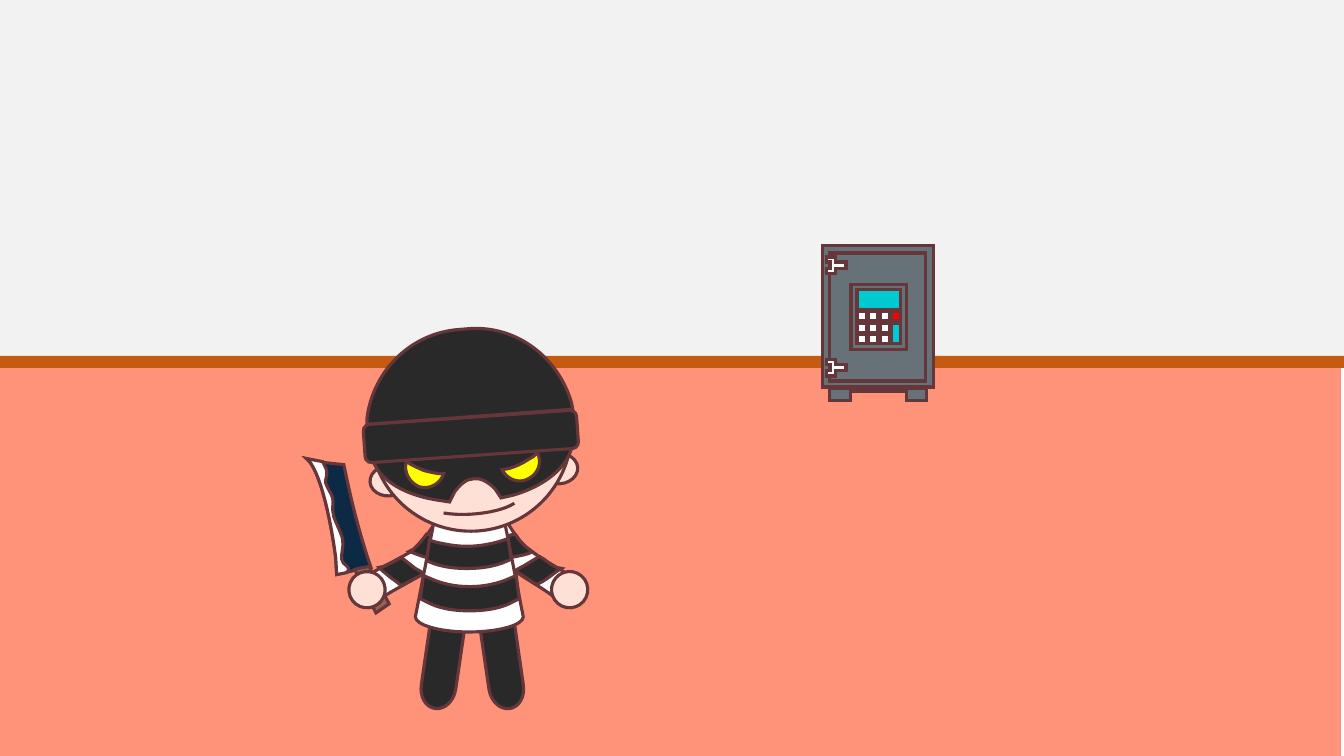
from math import cos, radians, sin

from lxml.etree import SubElement
from pptx import Presentation
from pptx.dml.color import RGBColor
from pptx.enum.shapes import MSO_SHAPE as Preset
from pptx.oxml.ns import qn
from pptx.util import Inches, Pt

COLORS = {
    "floor": "FF937A", "wall": "F2F2F2", "skirting": "C55A11", "outline": "65363A",
    "white": "FFFFFF", "skin": "FFE0D6", "black": "292929", "blade": "0C2A46",
    "handle": "926553", "eye": "FFFF00", "steel": "677278", "hinge": "FFFFFD",
    "red": "FF0000", "display": "00CAD1",
}
HEAD_TILT = 356


class Scene:
    """Holds the outline style, the slide and the group being drawn."""

    def __init__(self, slide):
        self.slide = slide
        self.target = slide.shapes
        self.line_width = Pt(2.25)

    def start_group(self):
        self.target = self.slide.shapes.add_group_shape().shapes

    def end_group(self):
        self.target = self.slide.shapes

    def style(self, shape, fill, rotation=0, outlined=True):
        shape.shadow.inherit = False
        shape.rotation = rotation
        if fill:
            shape.fill.solid()
            shape.fill.fore_color.rgb = RGBColor.from_string(COLORS[fill])
        else:
            shape.fill.background()
        if outlined:
            shape.line.color.rgb = RGBColor.from_string(COLORS["outline"])
            shape.line.width = self.line_width
            line = shape.element.spPr.find(qn("a:ln"))
            SubElement(line, qn("a:miter"), lim="800000")
        else:
            shape.line.fill.background()
        return shape

    def preset(self, kind, box, fill, rotation=0, outlined=True):
        shape = self.target.add_shape(kind, *map(Inches, box))
        return self.style(shape, fill, rotation, outlined)

    def rect(self, box, fill, outlined=True):
        return self.preset(Preset.RECTANGLE, box, fill, outlined=outlined)

    def ellipse(self, box, fill, rotation=0):
        return self.preset(Preset.OVAL, box, fill, rotation)

    def outline(self, steps, fill, rotation=0):
        """Steps are (x, y) corners or six-number Bezier curves, as seen on the slide."""
        # Undo the rotation about the centre of the unrotated box
        turn = complex(cos(radians(rotation)), sin(radians(rotation)))
        points = [complex(x, y) / turn
                  for step in steps for x, y in zip(step[::2], step[1::2])]
        xs, ys = [p.real for p in points], [p.imag for p in points]
        middle = complex(min(xs) + max(xs), min(ys) + max(ys)) / 2
        shift = middle * turn - middle
        corners = [(Inches((p + shift).real), Inches((p + shift).imag)) for p in points]
        builder = self.target.build_freeform(*corners[0])
        builder.add_line_segments(corners[1:], close=True)
        shape = builder.convert_to_shape()

        # Join three line segments into each curve
        segments = iter(list(shape.element.iter(qn("a:lnTo"))))
        for step in steps[1:]:
            segment = next(segments)
            if len(step) == 6:
                segment.tag = qn("a:cubicBezTo")
                for _ in range(2):
                    control = next(segments)
                    segment.append(control[0])
                    control.getparent().remove(control)
        return self.style(shape, fill, rotation)


def draw_room(scene):
    scene.rect((-0.03, 3.63, 13.33, 4.09), "floor", outlined=False)
    scene.rect((0, 0, 13.33, 3.63), "wall", outlined=False)
    scene.rect((0, 3.53, 13.33, 0.12), "skirting", outlined=False)


def draw_arms(scene):
    # Right arm: sleeve, hand, two stripes
    scene.start_group()
    scene.outline([
        (4.7, 5.18), (4.64, 5.13, 4.64, 5.05, 4.69, 5), (4.74, 4.94, 4.82, 4.94, 4.88, 4.99),
        (5.02, 5.12, 5.07, 5.29, 5.21, 5.42), (5.35, 5.55, 5.59, 5.65, 5.73, 5.77),
        (5.79, 5.82, 5.79, 5.91, 5.74, 5.96), (5.69, 6.01, 5.61, 6.02, 5.55, 5.97),
        (5.4, 5.83, 5.18, 5.74, 5.03, 5.6)], "white", 312.5)
    scene.ellipse((5.47, 5.67, 0.36, 0.36), "skin", 10.2)
    scene.outline([
        (5.11, 5.3), (5.12, 5.31), (5.14, 5.35, 5.17, 5.38, 5.21, 5.42), (5.29, 5.48),
        (5.27, 5.48), (5.23, 5.5, 5.17, 5.51, 5.12, 5.52), (4.99, 5.55), (4.84, 5.35),
        (4.94, 5.34), (4.99, 5.33, 5.05, 5.31, 5.1, 5.3)], "black", 355.4)
    scene.outline([
        (5.35, 5.52), (5.2, 5.61), (5.11, 5.66), (5.32, 5.8), (5.38, 5.77),
        (5.43, 5.74, 5.48, 5.7, 5.52, 5.67), (5.57, 5.64), (5.52, 5.63),
        (5.47, 5.6, 5.43, 5.58, 5.4, 5.55)], "black", 333.7)

    # Left arm: sleeve, two stripes, knife, hand
    scene.start_group()
    scene.outline([
        (4.62, 5.23), (4.68, 5.19, 4.69, 5.1, 4.64, 5.05), (4.59, 4.99, 4.51, 4.98, 4.46, 5.03),
        (4.31, 5.16, 4.25, 5.32, 4.11, 5.45), (3.95, 5.56, 3.71, 5.65, 3.56, 5.77),
        (3.5, 5.82, 3.5, 5.9, 3.54, 5.96), (3.59, 6.01, 3.67, 6.02, 3.73, 5.97),
        (3.89, 5.85, 4.11, 5.76, 4.27, 5.64)], "white", 50.5)
    scene.outline([
        (3.98, 5.53), (4.12, 5.64), (4.21, 5.69), (3.98, 5.81), (3.93, 5.77),
        (3.88, 5.74, 3.84, 5.7, 3.8, 5.67), (3.76, 5.63), (3.81, 5.62),
        (3.85, 5.6, 3.89, 5.58, 3.93, 5.56)], "black", 31.8)
    scene.outline([
        (4.23, 5.3), (4.4, 5.35), (4.5, 5.37), (4.33, 5.56), (4.27, 5.54),
        (4.22, 5.53, 4.16, 5.51, 4.11, 5.49), (4.06, 5.47), (4.1, 5.45),
        (4.14, 5.41, 4.17, 5.38, 4.2, 5.34)], "black", 10.1)
    cutting_edge = [(3.34, 5.7), (3.33, 5.53), (3.27, 5.08, 3.17, 4.7, 3.07, 4.58)]
    scene.outline([
        (3.04, 4.55), (3.22, 4.59), (3.41, 4.61), (3.43, 4.7),
        (3.5, 5.04, 3.59, 5.37, 3.68, 5.63), (3.56, 5.65)] + cutting_edge, "blade", 337.5)
    scene.outline([
        (3.04, 4.55), (3.2, 4.58), (3.22, 4.62), (3.27, 4.71, 3.22, 4.74, 3.23, 4.79),
        (3.25, 4.85, 3.28, 4.88, 3.3, 4.94), (3.31, 4.99, 3.29, 5.05, 3.31, 5.12),
        (3.33, 5.19, 3.39, 5.29, 3.4, 5.36), (3.41, 5.43, 3.38, 5.5, 3.39, 5.55),
        (3.39, 5.61, 3.5, 5.61, 3.44, 5.68)] + cutting_edge, "white", 337.5)
    scene.outline([
        (3.52, 5.65), (3.55, 5.64), (3.66, 5.62), (3.86, 5.99), (3.73, 6.08),
        (3.66, 5.95, 3.59, 5.79, 3.52, 5.65)], "handle", 332.4)
    scene.ellipse((3.46, 5.67, 0.36, 0.36), "skin", 352.7)
    scene.end_group()


def draw_body(scene):
    # Legs mirror each other about x = 4.685
    right_leg = [(5.07, 5.96), (4.73, 6.02), (4.85, 6.84),
                 (4.87, 6.96, 4.96, 7.04, 5.05, 7.03), (5.15, 7.02, 5.21, 6.91, 5.19, 6.79)]
    left_leg = [tuple(v if i % 2 else 9.37 - v for i, v in enumerate(step))
                for step in right_leg]
    scene.outline(right_leg, "black", 351.6)
    scene.outline(left_leg, "black", 8.7)

    # Striped shirt
    scene.start_group()
    scene.outline([
        (4.3, 5.2), (5.01, 5.2), (5.19, 6.12), (5.19, 6.2, 4.95, 6.27, 4.65, 6.27),
        (4.36, 6.27, 4.12, 6.2, 4.12, 6.12)], "white")
    scene.outline([
        (4.2, 5.71), (4.27, 5.74), (4.38, 5.79, 4.51, 5.82, 4.66, 5.82),
        (4.8, 5.82, 4.94, 5.79, 5.05, 5.74), (5.12, 5.71), (5.15, 5.94), (5.05, 5.99),
        (4.94, 6.04, 4.8, 6.06, 4.66, 6.06), (4.51, 6.06, 4.38, 6.04, 4.27, 5.99),
        (4.17, 5.94)], "black")
    scene.outline([
        (5.04, 5.34), (5.07, 5.55), (5.02, 5.57), (4.91, 5.62, 4.77, 5.64, 4.63, 5.64),
        (4.49, 5.64, 4.36, 5.62, 4.25, 5.57), (4.23, 5.57), (4.26, 5.36), (4.33, 5.38),
        (4.42, 5.4, 4.52, 5.42, 4.63, 5.42), (4.77, 5.42, 4.91, 5.39, 5.02, 5.35)], "black")
    scene.end_group()


def draw_head(scene):
    # Ears, face and mouth
    scene.start_group()
    for face_part in ((5.36, 4.5, 0.37, 0.3), (3.67, 4.62, 0.37, 0.3), (3.67, 3.27, 2, 2)):
        scene.ellipse(face_part, "skin", HEAD_TILT)
    mouth = scene.preset(Preset.ARC, (4.21, 4.81, 0.94, 0.29), None, HEAD_TILT)
    mouth.adjustments[0], mouth.adjustments[1] = 5.42, 95.02

    # Mask and eyes
    scene.outline([
        (3.69, 4.37), (3.8, 4.47, 4.2, 4.52, 4.69, 4.49), (5.17, 4.45, 5.56, 4.35, 5.65, 4.23),
        (5.68, 4.34), (5.69, 4.58, 5.46, 4.8, 5.1, 4.91), (4.97, 4.94), (4.91, 4.85),
        (4.84, 4.78, 4.77, 4.74, 4.7, 4.75), (4.63, 4.75, 4.57, 4.8, 4.51, 4.88),
        (4.46, 4.98), (4.33, 4.96), (3.96, 4.9, 3.7, 4.72, 3.68, 4.48)], "black", HEAD_TILT)
    scene.outline([
        (4.98, 4.66), (5.04, 4.65), (5.08, 4.64, 5.13, 4.62, 5.17, 4.6),
        (5.21, 4.58, 5.25, 4.55, 5.29, 4.53), (5.33, 4.49),
        (5.38, 4.59, 5.34, 4.7, 5.24, 4.75), (5.15, 4.8, 5.03, 4.76, 4.98, 4.66)], "eye", 334.2)
    scene.outline([
        (4.4, 4.7), (4.35, 4.7), (4.3, 4.69, 4.25, 4.68, 4.21, 4.67),
        (4.16, 4.65, 4.12, 4.63, 4.08, 4.61), (4.03, 4.58),
        (4, 4.68, 4.06, 4.79, 4.16, 4.83), (4.26, 4.86, 4.37, 4.8, 4.4, 4.7)], "eye", 17.8)

    # Cap and its brim
    scene.outline([
        (4.54, 3.27), (4.66, 3.26), (5.13, 3.23, 5.54, 3.55, 5.67, 4), (5.68, 4.06),
        (3.64, 4.21), (3.64, 4.15), (3.7, 3.68, 4.07, 3.31, 4.54, 3.27)], "black", HEAD_TILT)
    scene.preset(Preset.ROUNDED_RECTANGLE, (3.61, 4.14, 2.12, 0.38), "black", HEAD_TILT)
    scene.end_group()


def draw_safe(scene):
    # Case, door and panel
    scene.start_group()
    for layer in ((8.16, 2.44, 1.1, 1.4), (8.23, 2.51, 0.95, 1.27), (8.44, 2.82, 0.55, 0.65)):
        scene.rect(layer, "steel")

    # Keypad and display
    key, pitch = 0.09, 0.115
    for column in range(3):
        for row in range(3):
            scene.rect((8.5 + column * pitch, 3.09 + row * pitch, key, key), "white")
    scene.rect((8.84, 3.09, key, key), "red")
    scene.rect((8.84, 3.21, key, 0.2), "display")
    scene.rect((8.5, 2.87, 0.43, 0.2), "display")

    # Feet and hinges
    scene.outline([(8.23, 3.85), (9.19, 3.85), (9.19, 3.97), (8.99, 3.97), (8.99, 3.88),
                   (8.44, 3.88), (8.44, 3.97), (8.23, 3.97)], "steel")
    hinge = [(0, 0), (0.09, 0), (0.09, 0.05), (0.19, 0.05), (0.19, 0.11), (0.09, 0.11),
             (0.09, 0.16), (0, 0.16), (0, 0.11), (0.04, 0.11), (0.04, 0.05), (0, 0.05)]
    for top in (2.55, 3.57):
        scene.outline([(8.2 + x, top + y) for x, y in hinge], "hinge")
    scene.end_group()


deck = Presentation()
deck.slide_width, deck.slide_height = Inches(13.33), Inches(7.5)
scene = Scene(deck.slides.add_slide(deck.slide_layouts[6]))
for draw in (draw_room, draw_arms, draw_body, draw_head, draw_safe):
    draw(scene)
deck.save("out.pptx")
